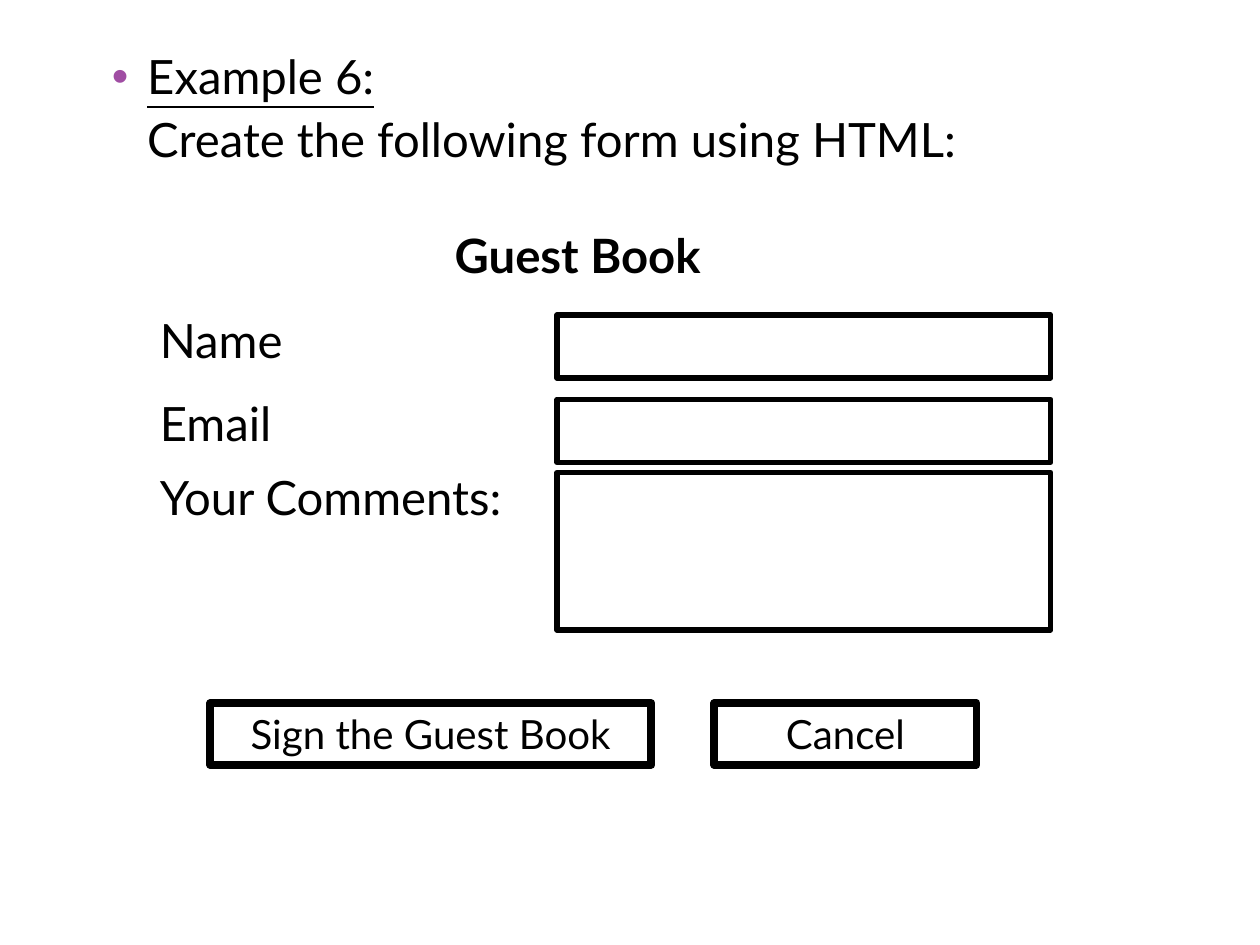
import pptx
import pptx.dml.color
import pptx.enum.shapes
import pptx.enum.text
import pptx.util
from lxml import etree
from pptx.oxml.ns import qn

Inches = pptx.util.Inches
Pt = pptx.util.Pt
CENTER = pptx.enum.text.PP_ALIGN.CENTER
LEFT = pptx.enum.text.PP_ALIGN.LEFT
BLACK = "000000"
BULLET_COLOR = "A04DA3"


def color(value):
    return pptx.dml.color.RGBColor.from_string(value)


def style_paragraph(para, text, size=27, before=6.8, align=LEFT):
    para.text = text
    para.alignment = align
    para.space_before = Pt(before)
    para.font.name = "Lato"
    para.font.size = Pt(size)
    para.font.color.rgb = color(BLACK)


def add_text_box(page, left, top, width, height):
    box = page.shapes.add_textbox(
        Inches(left), Inches(top), Inches(width), Inches(height))
    box.text_frame.word_wrap = True
    return box.text_frame


def add_label(page, text, top, height, width=3.42, align=LEFT):
    para = add_text_box(page, 1.17, top, width, height).paragraphs[0]
    style_paragraph(para, text, align=align)
    return para


def add_frame(page, left, top, width, height, line_width):
    frame = page.shapes.add_shape(
        pptx.enum.shapes.MSO_SHAPE.RECTANGLE,
        Inches(left), Inches(top), Inches(width), Inches(height))
    frame.shadow.inherit = False
    frame.fill.background()
    frame.line.color.rgb = color(BLACK)
    frame.line.width = Pt(line_width)
    return frame


def add_button(page, text, left, width):
    frame = add_frame(page, left, 5.58, width, 0.49, 4.5).text_frame
    frame.word_wrap = True
    frame.vertical_anchor = pptx.enum.text.MSO_ANCHOR.TOP
    style_paragraph(frame.paragraphs[0], text, 23, 14.4, CENTER)


def indent(para, first_line=0.0):
    properties = para._p.get_or_add_pPr()
    properties.set("marL", str(Inches(0.4)))
    properties.set("indent", str(Inches(first_line)))
    return properties


def add_bullet(para):
    properties = indent(para, -0.28)
    bullet_color = etree.SubElement(properties, qn("a:buClr"))
    etree.SubElement(bullet_color, qn("a:srgbClr"), val=BULLET_COLOR)
    etree.SubElement(properties, qn("a:buFont"), typeface="Arial")
    etree.SubElement(properties, qn("a:buChar"), char="•")


def add_task(page):
    frame = add_text_box(page, 0.67, 0.33, 8.92, 1.33)
    heading = frame.paragraphs[0]
    instruction = frame.add_paragraph()
    style_paragraph(heading, "Example 6:", before=3)
    style_paragraph(instruction, "Create the following form using HTML:", before=3)
    heading.runs[0].font.underline = True
    indent(instruction)
    # The bullet goes in before the font defaults of the paragraph
    add_bullet(heading)
    properties = heading._p.pPr
    defaults = properties.find(qn("a:defRPr"))
    if defaults is not None:
        properties.append(defaults)


def main():
    deck = pptx.Presentation()
    deck.slide_width, deck.slide_height = Inches(10), Inches(7.5)
    page = deck.slides.add_slide(deck.slide_layouts[6])

    # Task and form title
    add_task(page)
    title = add_label(page, "Guest Book", 1.75, 0.67, width=6.83, align=CENTER)
    title.font.bold = True

    # Form rows: label, label top and height, field top and height
    rows = [
        ("Name", 2.42, 0.67, 2.5, 0.5),
        ("Email", 3.08, 0.58, 3.17, 0.5),
        ("Your Comments:", 3.67, 0.58, 3.75, 1.25),
    ]
    for text, label_top, label_height, field_top, field_height in rows:
        add_label(page, text, label_top, label_height)
        add_frame(page, 4.42, field_top, 3.92, field_height, 3)

    # Buttons
    add_button(page, "Sign the Guest Book", 1.67, 3.5)
    add_button(page, "Cancel", 5.67, 2.08)

    deck.save("out.pptx")


if __name__ == "__main__":
    main()
